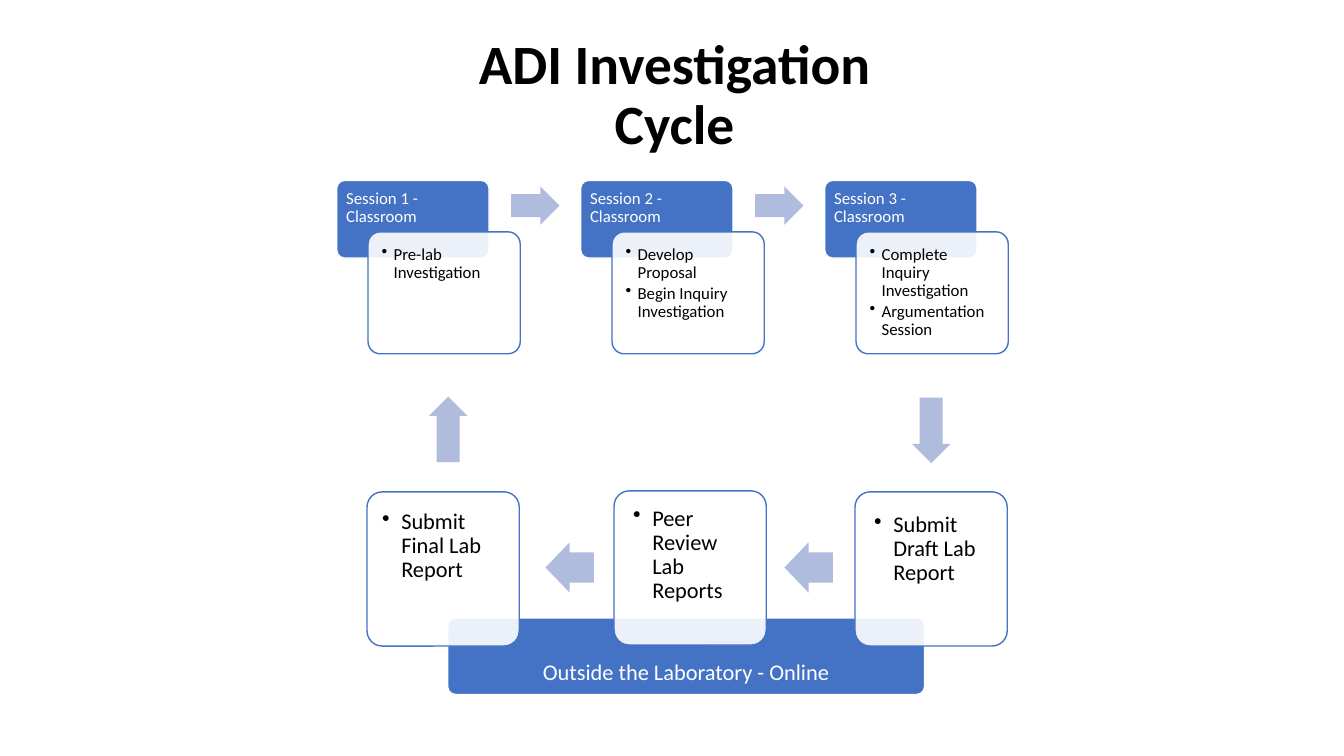
from dataclasses import dataclass

import pptx
import pptx.dml.color
import pptx.enum.shapes
import pptx.enum.text
import pptx.oxml
import pptx.oxml.ns
import pptx.util
from pptx.util import Inches

SHAPE = pptx.enum.shapes.MSO_SHAPE
ALIGN = pptx.enum.text.PP_ALIGN
ANCHOR = pptx.enum.text.MSO_ANCHOR
COLORS = {"blue": "4472C4", "arrow": "B0BCDE", "white": "FFFFFF", "black": "000000"}


@dataclass
class Box:
    left: float
    top: float
    width: float
    height: float

    def emu(self) -> list:
        return [Inches(v) for v in (self.left, self.top, self.width, self.height)]


@dataclass
class TextStyle:
    size: float
    color: str
    insets: tuple
    after: float = 0
    bold: bool = False
    align: int = ALIGN.LEFT
    anchor: int = ANCHOR.TOP
    bullet_indent: float = 0


@dataclass
class Session:
    title: str
    tasks: list


@dataclass
class Report:
    task: str
    card: Box
    label: Box


@dataclass
class Arrow:
    box: Box
    rotation: float = 0


TITLE = TextStyle(39.6, "black", (0.1, 0.05, 0.1, 0.05), bold=True,
                  align=ALIGN.CENTER, anchor=ANCHOR.MIDDLE)
HEADER = TextStyle(12, "white", (0.07, 0.07, 0.07, 0.29), after=4)
TASK = TextStyle(12, "black", (0.1, 0.1, 0.1, 0.1), after=2, bullet_indent=0.12)
REPORT = TextStyle(16, "black", (0.12, 0.12, 0.12, 0.12), after=2, bullet_indent=0.19)
ONLINE = TextStyle(16, "white", (0.12, 0.12, 0.12, 0.07), after=6,
                   align=ALIGN.CENTER, anchor=ANCHOR.BOTTOM)

SESSIONS = [
    Session("Session 1 - Classroom", ["Pre-lab Investigation"]),
    Session("Session 2 - Classroom", ["Develop Proposal", "Begin Inquiry Investigation"]),
    Session("Session 3 - Classroom", ["Complete Inquiry Investigation", "Argumentation Session"]),
]
SESSION_LEFT, SESSION_PITCH = 3.34, 2.42
REPORTS = [
    Report("Peer Review Lab Reports", Box(6.09, 4.87, 1.51, 1.53), Box(6.16, 4.91, 1.44, 1.44)),
    Report("Submit Draft Lab Report", Box(8.48, 4.88, 1.51, 1.53), Box(8.55, 4.97, 1.44, 1.44)),
    Report("Submit Final Lab Report", Box(3.64, 4.88, 1.51, 1.53), Box(3.67, 4.94, 1.44, 1.44)),
]
CYCLE_ARROWS = [
    Arrow(Box(8.91, 4.08, 0.65, 0.38), 90),
    Arrow(Box(7.78, 5.38, 0.48, 0.5), 180),
    Arrow(Box(5.41, 5.38, 0.48, 0.5), 180),
    Arrow(Box(4.12, 4.07, 0.65, 0.38), 270),
]


def rgb(name: str) -> pptx.dml.color.RGBColor:
    return pptx.dml.color.RGBColor.from_string(COLORS[name])


def apply(target, values: dict) -> None:
    for name, value in values.items():
        setattr(target, name, value)


def write(sp, lines: list, style: TextStyle) -> None:
    tf = sp.text_frame
    left, top, right, bottom = (Inches(v) for v in style.insets)
    apply(tf, {"word_wrap": True, "auto_size": pptx.enum.text.MSO_AUTO_SIZE.NONE,
               "vertical_anchor": style.anchor, "margin_left": left, "margin_top": top,
               "margin_right": right, "margin_bottom": bottom})
    for i, line in enumerate(lines):
        p = tf.add_paragraph() if i else tf.paragraphs[0]
        apply(p, {"alignment": style.align, "line_spacing": 0.9,
                  "space_before": pptx.util.Pt(0), "space_after": pptx.util.Pt(style.after)})
        r = p.add_run()
        r.text = line
        apply(r.font, {"name": "Calibri", "size": pptx.util.Pt(style.size), "bold": style.bold})
        r.font.color.rgb = rgb(style.color)
        if style.bullet_indent:
            add_bullet(p, style.bullet_indent)


def add_bullet(p, indent: float) -> None:
    p.level = 1
    props = p._p.get_or_add_pPr()
    props.set("marL", str(Inches(indent)))
    props.set("indent", str(-Inches(indent)))
    bullet = pptx.oxml.parse_xml(f'<a:buChar {pptx.oxml.ns.nsdecls("a")} char="•"/>')
    props.append(bullet)


def add_block(s, kind: int, box: Box, fill: str, line: str = "", alpha: int = 100):
    sp = s.shapes.add_shape(kind, *box.emu())
    sp.shadow.inherit = False
    sp.fill.solid()
    sp.fill.fore_color.rgb = rgb(fill)
    if alpha < 100:
        color = sp.fill._xPr.find(".//" + pptx.oxml.ns.qn("a:srgbClr"))
        color.append(pptx.oxml.parse_xml(
            f'<a:alpha {pptx.oxml.ns.nsdecls("a")} val="{alpha * 1000}"/>'))
    if line:
        sp.line.color.rgb = rgb(line)
        sp.line.width = pptx.util.Pt(1)
    else:
        sp.line.fill.background()
    return sp


def add_panel(s, box: Box):
    sp = add_block(s, SHAPE.ROUNDED_RECTANGLE, box, "white", "blue", 90)
    sp.adjustments[0] = 0.1
    return sp


def add_banner(s, box: Box):
    sp = add_block(s, SHAPE.ROUNDED_RECTANGLE, box, "blue", "white")
    sp.adjustments[0] = 0.1
    return sp


def add_arrow(s, arrow: Arrow) -> None:
    sp = add_block(s, SHAPE.RIGHT_ARROW, arrow.box, "arrow")
    sp.adjustments[0] = 0.6
    sp.adjustments[1] = 0.5
    sp.rotation = arrow.rotation


def add_label(s, box: Box, text: str, style: TextStyle) -> None:
    write(s.shapes.add_textbox(*box.emu()), [text], style)


prs = pptx.Presentation()
apply(prs, {"slide_width": Inches(13.33), "slide_height": Inches(7.5)})
s = prs.slides.add_slide(prs.slide_layouts[5])

title = s.shapes.title
apply(title, dict(zip(("left", "top", "width", "height"), Box(4.42, 0.53, 4.54, 0.86).emu())))
write(title, ["ADI Investigation Cycle"], TITLE)

for i, session in enumerate(SESSIONS):
    x = SESSION_LEFT + i * SESSION_PITCH
    if i:
        add_arrow(s, Arrow(Box(x - 0.69, 1.85, 0.48, 0.38)))
    write(add_banner(s, Box(x, 1.79, 1.51, 0.77)), [session.title], HEADER)
    write(add_panel(s, Box(x + 0.31, 2.3, 1.51, 1.21)), session.tasks, TASK)

for arrow in CYCLE_ARROWS:
    add_arrow(s, arrow)

add_banner(s, Box(4.44, 6.13, 4.73, 0.76))
add_label(s, Box(4.44, 6.37, 4.73, 0.5), "Outside the Laboratory - Online", ONLINE)

for report in REPORTS:
    add_panel(s, report.card)
    add_label(s, report.label, report.task, REPORT)

prs.save("out.pptx")
